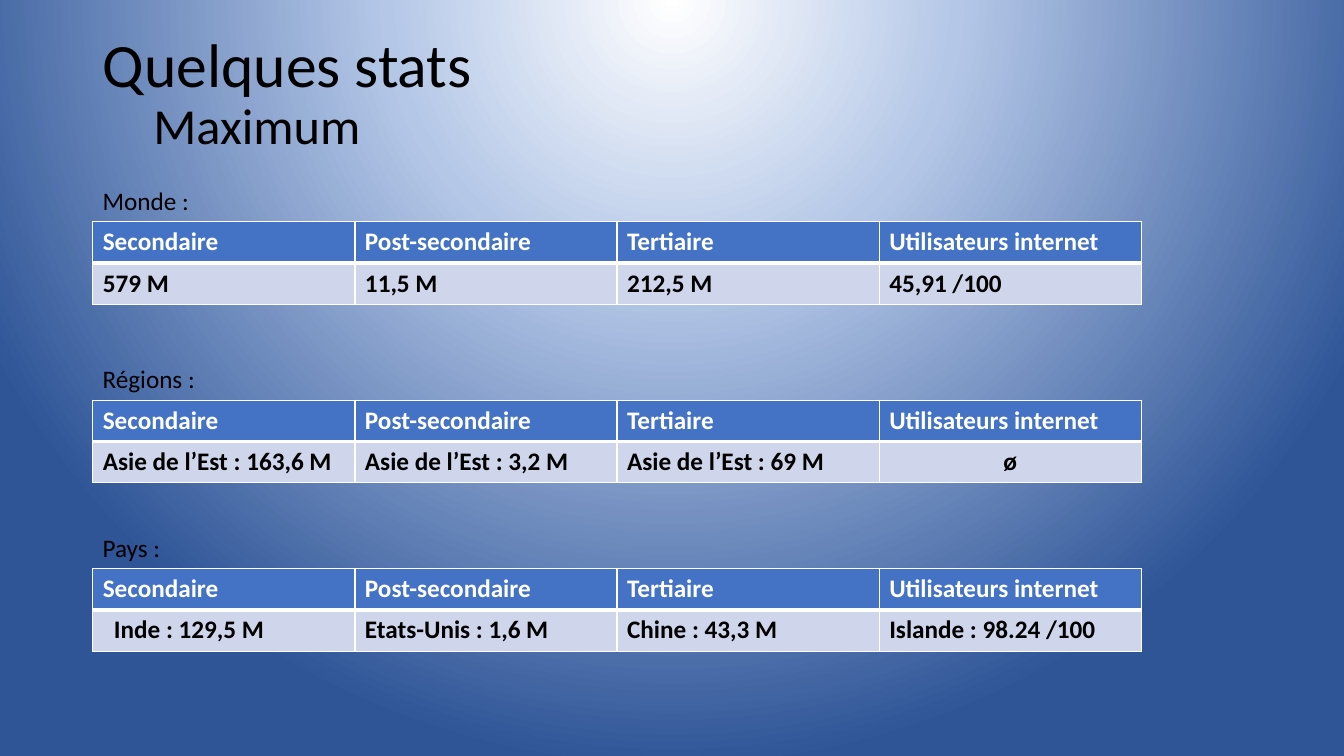
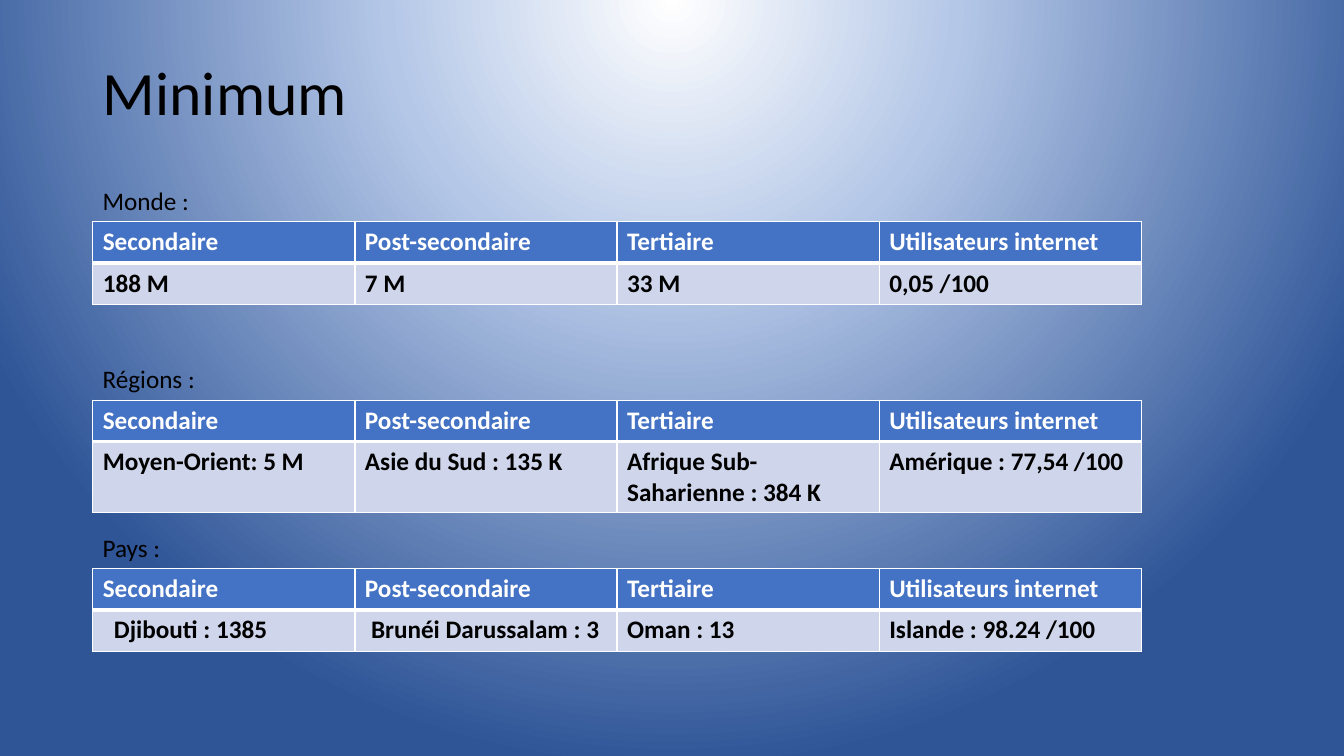
from dataclasses import dataclass

from lxml.etree import SubElement
from pptx import Presentation
from pptx.dml.color import RGBColor
from pptx.enum.text import MSO_ANCHOR, MSO_AUTO_SIZE, PP_ALIGN
from pptx.oxml.ns import qn
from pptx.util import Inches, Pt

# Content: a title made of (text, size) lines, then one row of values per level
COLUMNS = ["Secondaire", "Post-secondaire", "Tertiaire", "Utilisateurs internet"]
LEVELS = ["Monde :", "Régions :", "Pays :"]
NOTHING = "ø"
SLIDES = [
    {
        "title": [("Quelques stats", "title"), ("\tMaximum", "subtitle")],
        "rows": [
            ["579 M", "11,5 M", "212,5 M", "45,91 /100"],
            ["Asie de l’Est : 163,6 M", "Asie de l’Est : 3,2 M",
             "Asie de l’Est : 69 M", NOTHING],
            ["Inde : 129,5 M", "Etats-Unis : 1,6 M", "Chine : 43,3 M",
             "Islande : 98.24 /100"],
        ],
    },
    {
        "title": [("Minimum", "title")],
        "rows": [
            ["188 M", "7 M", "33 M", "0,05 /100"],
            ["Moyen-Orient: 5 M", "Asie du Sud : 135 K",
             "Afrique Sub-Saharienne : 384 K", "Amérique : 77,54 /100"],
            ["Djibouti : 1385", "Brunéi Darussalam : 3", "Oman : 13",
             "Islande : 98.24 /100"],
        ],
    },
]
# Extra left indent of a few country cells, in inches
INDENTS = {"Inde : 129,5 M": 0.11, "Djibouti : 1385": 0.11,
           "Brunéi Darussalam : 3": 0.06}


@dataclass(frozen=True)
class Theme:
    font: str = "Calibri"
    ink: str = "000000"
    white: str = "FFFFFF"
    header: str = "4472C4"
    body: str = "CFD5EA"
    glow: tuple = ((0, "FFFFFF"), (37, "B4C7E7"), (100, "2F5597"))
    title: int = 44
    subtitle: int = 36
    text: int = 18
    thin: int = 1
    thick: int = 3


THEME = Theme()

# Layout, in inches
WIDTH, HEIGHT = 13.33, 7.5
LEFT = 0.92
TITLE_BOX = (LEFT, 0.22, 11.5, 1.45)
LABEL_TOPS = [1.79, 3.56, 5.23]
LABEL_WIDTH, LABEL_HEIGHT = 5.96, 0.4
COLUMN_WIDTH, ROW_HEIGHT = 2.6, 0.41
CELL_MARGIN = 0.1


def write(para, text, size=THEME.text, color=THEME.ink, bold=False,
          align=PP_ALIGN.LEFT):
    """Add one formatted span to a paragraph."""
    para.alignment = align
    span = para.add_run()
    span.text = text
    span.font.name = THEME.font
    span.font.size = Pt(size)
    span.font.bold = bold
    span.font.color.rgb = RGBColor.from_string(color)


def paint_background(master):
    """Give every slide the round glow that starts above its top edge."""
    master.background.fill.gradient()
    gradient = next(master.element.iter(qn("a:gradFill")))
    for child in list(gradient):
        gradient.remove(child)
    stops = SubElement(gradient, qn("a:gsLst"))
    for position, color in THEME.glow:
        stop = SubElement(stops, qn("a:gs"), pos=str(position * 1000))
        SubElement(stop, qn("a:srgbClr"), val=color)
    circle = SubElement(gradient, qn("a:path"), path="circle")
    SubElement(circle, qn("a:fillToRect"),
               l="50000", t="-80000", r="50000", b="180000")


def add_borders(cell, top, bottom):
    """Draw the white cell borders; they must come before the fill."""
    properties = cell._tc.get_or_add_tcPr()
    widths = {"L": THEME.thin, "R": THEME.thin, "T": top, "B": bottom}
    for side, width in widths.items():
        line = SubElement(properties, qn(f"a:ln{side}"), w=str(Pt(width)))
        fill = SubElement(line, qn("a:solidFill"))
        SubElement(fill, qn("a:srgbClr"), val=THEME.white)


def add_title(slide, lines):
    box = slide.shapes.title
    box.left, box.top, box.width, box.height = map(Inches, TITLE_BOX)
    frame = box.text_frame
    frame.auto_size = MSO_AUTO_SIZE.NONE
    frame.vertical_anchor = MSO_ANCHOR.MIDDLE
    para = frame.paragraphs[0]
    para.line_spacing = 0.9
    for index, (text, size) in enumerate(lines):
        if index:
            para.add_line_break()
        write(para, text, size=getattr(THEME, size))


def add_label(slide, text, top):
    box = slide.shapes.add_textbox(
        Inches(LEFT), Inches(top), Inches(LABEL_WIDTH), Inches(LABEL_HEIGHT))
    box.text_frame.word_wrap = True
    write(box.text_frame.paragraphs[0], text)


def add_stats(slide, values, top):
    grid = [COLUMNS, values]
    table = slide.shapes.add_table(
        len(grid), len(COLUMNS), Inches(LEFT), Inches(top),
        Inches(COLUMN_WIDTH * len(COLUMNS)),
        Inches(ROW_HEIGHT * len(grid))).table
    table.horz_banding = False
    for row, texts in enumerate(grid):
        is_header = row == 0
        edges = (THEME.thin, THEME.thick) if is_header else (THEME.thick, THEME.thin)
        for column, text in enumerate(texts):
            cell = table.cell(row, column)
            add_borders(cell, *edges)
            cell.fill.solid()
            cell.fill.fore_color.rgb = RGBColor.from_string(
                THEME.header if is_header else THEME.body)
            cell.margin_left = Inches(CELL_MARGIN + INDENTS.get(text, 0))
            write(cell.text_frame.paragraphs[0], text, bold=True,
                  color=THEME.white if is_header else THEME.ink,
                  align=PP_ALIGN.CENTER if text == NOTHING else PP_ALIGN.LEFT)


def main():
    deck = Presentation()
    deck.slide_width, deck.slide_height = Inches(WIDTH), Inches(HEIGHT)
    paint_background(deck.slide_master)
    title_only = deck.slide_layouts.get_by_name("Title Only")
    for content in SLIDES:
        slide = deck.slides.add_slide(title_only)
        add_title(slide, content["title"])
        for label, values, top in zip(LEVELS, content["rows"], LABEL_TOPS):
            add_label(slide, label, top)
            add_stats(slide, values, top + LABEL_HEIGHT + 0.01)
    deck.save("out.pptx")


if __name__ == "__main__":
    main()
